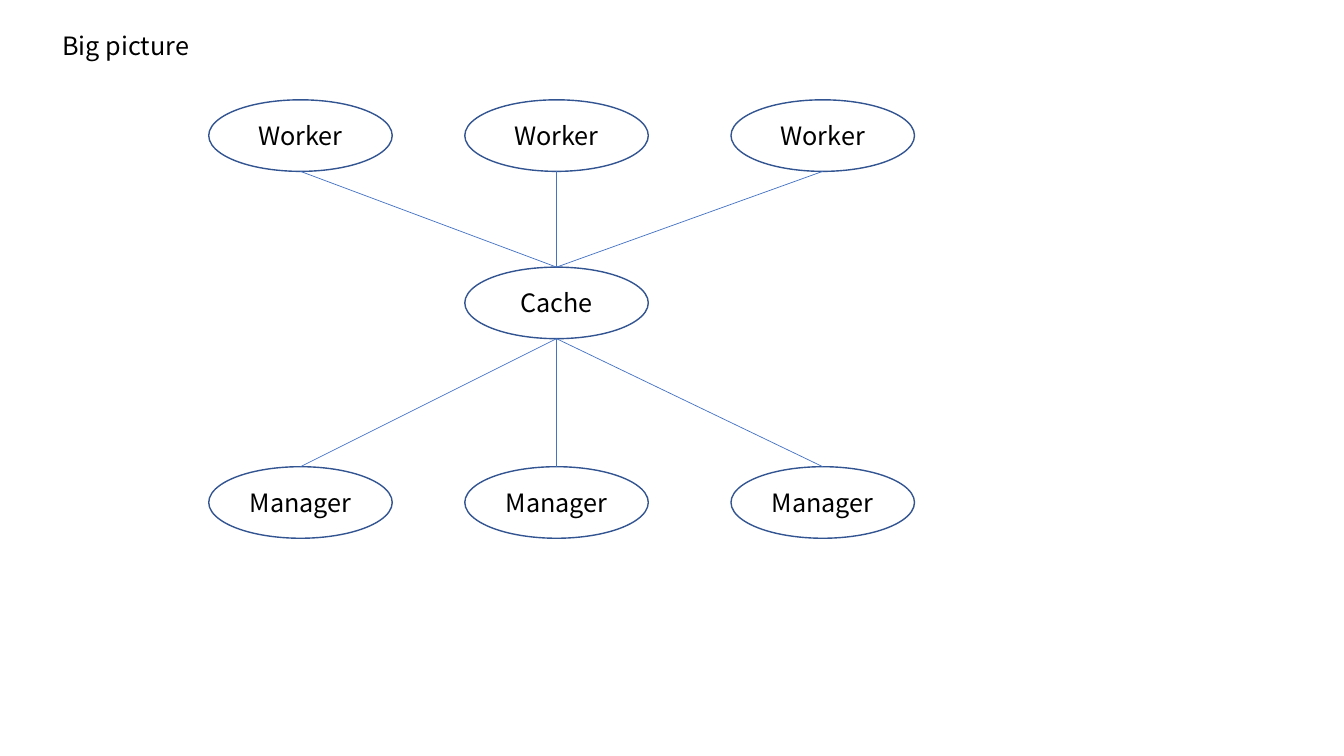
"""Build a slide that links workers and managers through a shared cache."""
from pptx import Presentation
from pptx.dml.color import RGBColor
from pptx.enum.shapes import MSO_CONNECTOR, MSO_SHAPE
from pptx.enum.text import MSO_ANCHOR, MSO_AUTO_SIZE, PP_ALIGN
from pptx.oxml.ns import qn
from pptx.util import Inches, Pt
from lxml.etree import SubElement

BLACK = RGBColor(0x00, 0x00, 0x00)
NAVY = RGBColor(0x32, 0x54, 0x91)
BLUE = RGBColor(0x44, 0x72, 0xC4)
FONT = "Noto Sans CJK SC"
WIDTH, HEIGHT = 1.82, 0.71
LEFTS = (2.07, 4.61, 7.25)
MIDDLE = LEFTS[1]
WORKER_TOP, CACHE_TOP, MANAGER_TOP = 0.99, 2.65, 4.63

deck = Presentation()
deck.slide_width, deck.slide_height = Inches(13.33), Inches(7.5)
slide = deck.slides.add_slide(deck.slide_layouts[6])
shapes = slide.shapes


def write(frame, text):
    run = frame.paragraphs[0].add_run()
    run.text = text
    run.font.name = FONT
    run.font.size = Pt(18)
    run.font.color.rgb = BLACK


nodes = [("Worker", left, WORKER_TOP) for left in LEFTS]
nodes += [("Manager", left, MANAGER_TOP) for left in LEFTS]
nodes.append(("Cache", MIDDLE, CACHE_TOP))

for label, left, top in nodes:
    node = shapes.add_shape(MSO_SHAPE.OVAL, Inches(left), Inches(top),
                            Inches(WIDTH), Inches(HEIGHT))
    node.shadow.inherit = False
    node.fill.background()
    node.line.color.rgb = NAVY
    node.line.width = Pt(1)
    node.text_frame.vertical_anchor = MSO_ANCHOR.MIDDLE
    node.text_frame.paragraphs[0].alignment = PP_ALIGN.CENTER
    write(node.text_frame, label)

links = ((WORKER_TOP + HEIGHT, CACHE_TOP), (MANAGER_TOP, CACHE_TOP + HEIGHT))
for start, end in links:
    for left in LEFTS:
        link = shapes.add_connector(
            MSO_CONNECTOR.STRAIGHT,
            Inches(left + WIDTH / 2), Inches(start),
            Inches(MIDDLE + WIDTH / 2), Inches(end))
        link.line.color.rgb = BLUE
        link.line.width = Pt(0.5)
        SubElement(link._element.spPr, qn("a:effectLst"))

title = shapes.add_textbox(Inches(0.52), Inches(0.25), Inches(1.89), Inches(0.4))
title.text_frame.word_wrap = True
title.text_frame.auto_size = MSO_AUTO_SIZE.SHAPE_TO_FIT_TEXT
write(title.text_frame, "Big picture")

deck.save("out.pptx")
